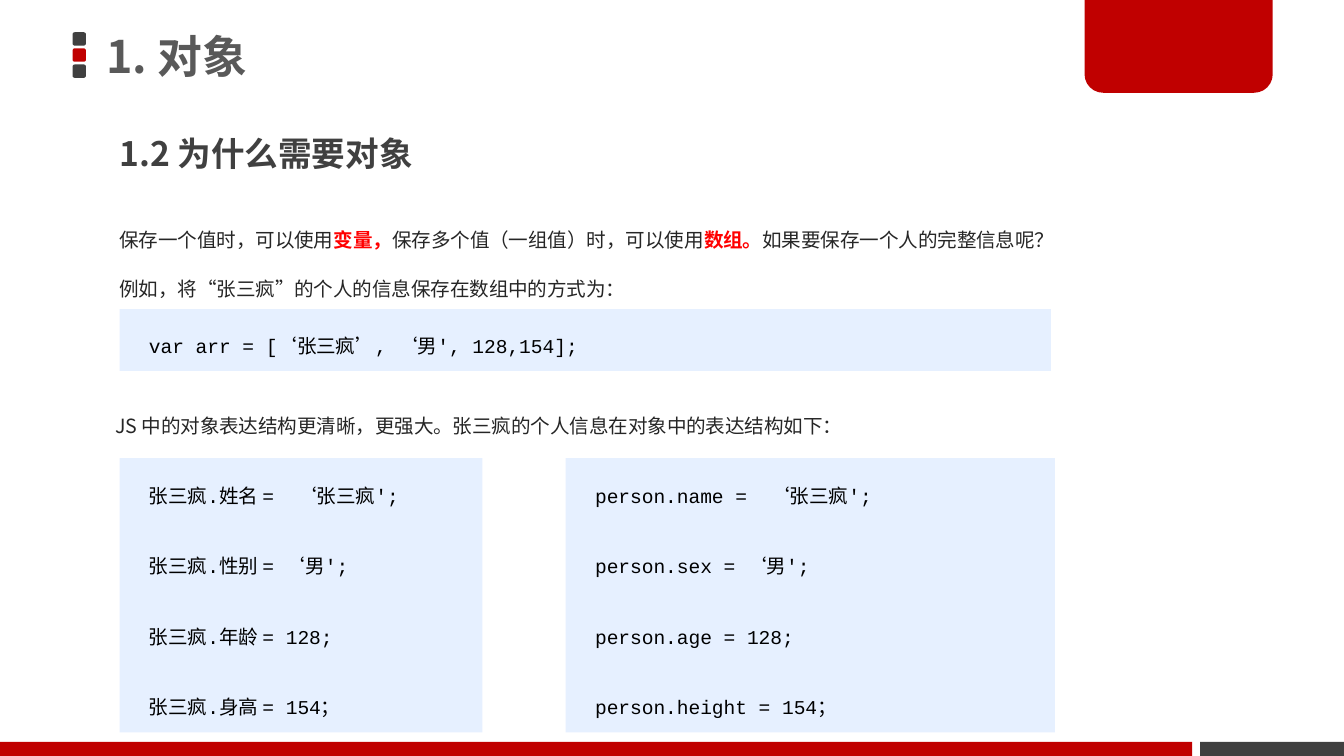
from lxml.etree import SubElement
from pptx import Presentation
from pptx.dml.color import RGBColor
from pptx.enum.shapes import MSO_SHAPE
from pptx.enum.text import MSO_ANCHOR, MSO_AUTO_SIZE, PP_ALIGN
from pptx.oxml.ns import qn
from pptx.util import Inches, Pt

RED = RGBColor(0xC0, 0x00, 0x00)
BRIGHT_RED = RGBColor(0xFF, 0x00, 0x00)
DARK = RGBColor(0x40, 0x40, 0x40)
GREY = RGBColor(0x59, 0x59, 0x59)
INK = RGBColor(0x26, 0x26, 0x26)
BLACK = RGBColor(0x00, 0x00, 0x00)
PALE_BLUE = RGBColor(0xE6, 0xF0, 0xFF)
SANS, MONO = "Noto Sans CJK SC", "Courier New"


class Deck:
    """Style and current slide; lengths are cells, 100 columns to the width."""

    def __init__(self):
        self.prs = Presentation()
        self.prs.slide_width = Inches(10)
        self.prs.slide_height = self.prs.slide_width * 9 // 16
        self.cell = self.prs.slide_width / 100
        self.s = self.prs.slides.add_slide(self.prs.slide_layouts[5])

    def box(self, *cells):
        return [round(c * self.cell) for c in cells]

    def style(self, p, size, color, font=SANS, bold=False, line=1.5, before=0):
        p.alignment = PP_ALIGN.LEFT
        p.line_spacing, p.space_before = line, Pt(before)
        f = p.font
        f.size, f.name, f.bold = Pt(size), font, bold
        f.color.rgb = color
        SubElement(p._p.pPr.find(qn("a:defRPr")), qn("a:ea"), typeface=SANS)

    def title(self, text, x, y, w, h):
        sp = self.s.shapes.title
        sp.left, sp.top, sp.width, sp.height = self.box(x, y, w, h)
        tf = sp.text_frame
        tf.text = text
        tf.auto_size = MSO_AUTO_SIZE.NONE
        tf.vertical_anchor = MSO_ANCHOR.MIDDLE
        self.style(tf.paragraphs[0], 24, GREY, bold=True, line=0.9)

    def text(self, paragraphs, x, y, w, h, size=10.5, color=INK, bold=False, line=1.5):
        """Each paragraph is a list of parts; every second part is a keyword."""
        tf = self.s.shapes.add_textbox(*self.box(x, y, w, h)).text_frame
        tf.word_wrap = True
        for i, parts in enumerate(paragraphs):
            p = tf.add_paragraph() if i else tf.paragraphs[0]
            self.style(p, size, color, bold=bold, line=line, before=7.5)
            for j, part in enumerate(parts):
                r = p.add_run()
                r.text = part
                if j % 2:
                    r.font.bold = True
                    r.font.color.rgb = BRIGHT_RED

    def shape(self, kind, fill, x, y, w, h):
        sp = self.s.shapes.add_shape(kind, *self.box(x, y, w, h))
        sp.shadow.inherit = False
        sp.fill.solid()
        sp.fill.fore_color.rgb = fill
        sp.line.fill.background()
        return sp

    def code(self, lines, x, y, w, h):
        tf = self.shape(MSO_SHAPE.RECTANGLE, PALE_BLUE, x, y, w, h).text_frame
        tf.word_wrap = True
        tf.vertical_anchor = MSO_ANCHOR.MIDDLE
        for i, line in enumerate(lines):
            p = tf.add_paragraph() if i else tf.paragraphs[0]
            p.text = line
            self.style(p, 10.5, BLACK, MONO, before=18.7 if i else 0)
            p._p.pPr.set("marL", str(Inches(0.12)))


def main():
    d = Deck()

    # Frame: title marker, corner tab, footer bars
    for i, color in enumerate((DARK, RED, DARK)):
        d.shape(MSO_SHAPE.ROUNDED_RECTANGLE, color, 5.4, 2.4 + 1.2 * i, 1, 1)
    tab = d.shape(MSO_SHAPE.ROUND_2_SAME_RECTANGLE, RED, 80.7, 0, 14, 6.9)
    tab.adjustments[0], tab.adjustments[1] = 0, 0.2
    d.shape(MSO_SHAPE.RECTANGLE, RED, 0, 55.2, 88.7, 1.05)
    d.shape(MSO_SHAPE.RECTANGLE, DARK, 89.3, 55.2, 10.7, 1.05)

    # Headings
    d.title("1. 对象", 6.9, 0, 73.7, 8.7)
    d.text([["1.2 为什么需要对象"]], 7.9, 9.7, 71.3, 5.9, 18, DARK, True, 0.9)

    # Storing the values in an array
    d.text([["保存一个值时，可以使用", "变量，", "保存多个值（一组值）时，可以使用",
             "数组。", "如果要保存一个人的完整信息呢？"],
            ["例如，将“张三疯”的个人的信息保存在数组中的方式为："]],
           7.9, 15.6, 73.7, 13.8)
    d.code(["var arr = [‘张三疯’, ‘男', 128,154];"], 8.9, 23, 69.3, 4.6)

    # Storing the values in an object
    d.text([["JS 中的对象表达结构更清晰，更强大。张三疯的个人信息在对象中的表达结构如下："]],
           7.6, 29.4, 73.7, 4.7)
    values = (" ‘张三疯';", "‘男';", "128;", "154；")
    for owner, keys, x, w in (
            ("张三疯", ("姓名", "性别", "年龄", "身高"), 8.9, 27),
            ("person", ("name", "sex", "age", "height"), 42.1, 36.4)):
        d.code([f"{owner}.{k} = {v}" for k, v in zip(keys, values)], x, 34.1, w, 20.4)

    d.prs.save("out.pptx")


if __name__ == "__main__":
    main()
